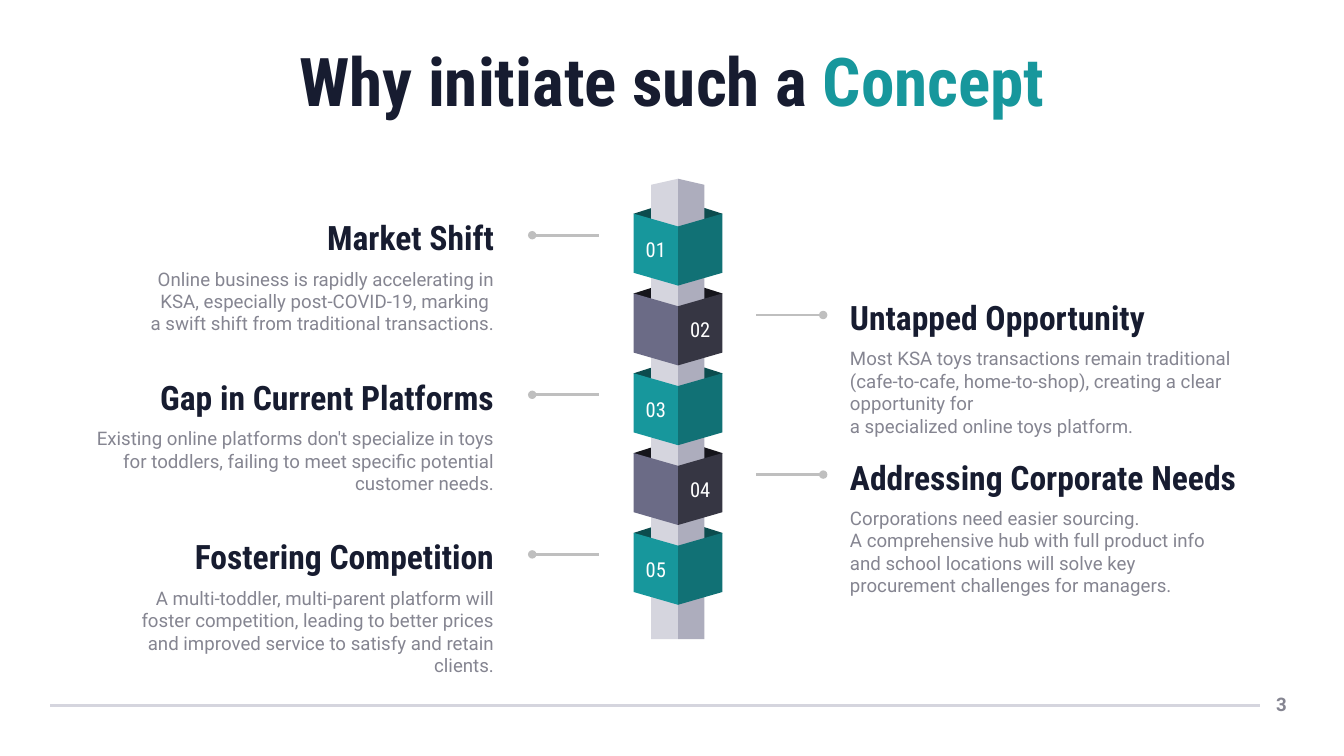
"""Build the slide on the five reasons for initiating the concept."""
from lxml import etree
from pptx import Presentation
from pptx import util as u
from pptx.dml.color import RGBColor
from pptx.enum import shapes, text
from pptx.oxml.ns import qn

NAVY, TEAL, GREY, WHITE = "171C30", "17979C", "858591", "FFFFFF"
color = RGBColor.from_string

presentation = Presentation()
presentation.slide_width = u.Inches(20)
presentation.slide_height = u.Inches(11.25)
slide = presentation.slides.add_slide(presentation.slide_layouts[6])


def write(shape, paragraphs, size, font, align, bold=False, anchor=text.MSO_ANCHOR.TOP):
    frame = shape.text_frame
    frame.word_wrap = True
    frame.vertical_anchor = anchor
    for index, runs in enumerate(paragraphs):
        paragraph = frame.paragraphs[0] if index == 0 else frame.add_paragraph()
        paragraph.alignment = align
        for words, run_color in runs:
            run = paragraph.add_run()
            run.text = words
            run.font.size = u.Pt(size)
            run.font.name = font
            run.font.bold = bold
            run.font.color.rgb = color(run_color)


def add_polygon(points, fill):
    corners = [(u.Inches(x), u.Inches(y)) for x, y in points]
    builder = slide.shapes.build_freeform(*corners[0])
    builder.add_line_segments(corners[1:], close=True)
    shape = builder.convert_to_shape()
    shape.shadow.inherit = False
    shape.fill.solid()
    shape.fill.fore_color.rgb = color(fill)
    shape.line.fill.background()
    return shape


LEFT, CENTER, RIGHT = text.PP_ALIGN.LEFT, text.PP_ALIGN.CENTER, text.PP_ALIGN.RIGHT
MIDDLE = text.MSO_ANCHOR.MIDDLE

number_box = slide.shapes.add_shape(
    shapes.MSO_SHAPE.RECTANGLE, u.Inches(18.25), u.Inches(10.26), u.Inches(1), u.Inches(0.44))
number_box.shadow.inherit = False
number_box.fill.solid()
number_box.fill.fore_color.rgb = color(WHITE)
number_box.line.fill.background()
write(number_box, [[("3", GREY)]], 20, "Roboto", RIGHT, True, MIDDLE)

title = slide.shapes.add_textbox(u.Inches(0.96), u.Inches(0.54), u.Inches(18.08), u.Inches(1.31))
write(title, [[("Why initiate such a ", NAVY), ("Concept", TEAL)]],
      72, "Roboto Condensed", CENTER, True)

# heading, heading width, body paragraphs, body width, body height
reasons = [
    ("Market Shift", 5.8,
     ["Online business is rapidly accelerating in KSA, especially post-COVID-19, marking ",
      "a swift shift from traditional transactions."], 5.8, 1.11),
    ("Untapped Opportunity", 5.8,
     ["Most KSA toys transactions remain traditional (cafe-to-cafe, home-to-shop), "
      "creating a clear opportunity for",
      "a specialized online toys platform."], 6.11, 1.45),
    ("Gap in Current Platforms", 5.8,
     ["Existing online platforms don't specialize in toys for toddlers, "
      "failing to meet specific potential customer needs."], 6.37, 1.11),
    ("Addressing Corporate Needs", 6.11,
     ["Corporations need easier sourcing.",
      "A comprehensive hub with full product info and school locations "
      "will solve key procurement challenges for managers."], 5.8, 1.45),
    ("Fostering Competition", 5.8,
     ["A multi-toddler, multi-parent platform will foster competition, leading to "
      "better prices and improved service to satisfy and retain clients."], 5.8, 1.45),
]
tops = [3.18 + 4.75 / 4 * index for index in range(len(reasons))]
cube_left, cube_middle, cube_right = 9.43, 10.09, 10.75

for index, top in enumerate(tops):
    add_polygon([(cube_middle, top + 1.07), (cube_left, top), (cube_middle, top - 0.21),
                 (cube_right, top)], "15151B" if index % 2 else "0C4C4E")

for edge, fill in ((9.69, "D5D5DE"), (10.48, "ADADBD")):
    add_polygon([(edge, 2.75), (edge, 9.51), (cube_middle, 9.51), (cube_middle, 2.66)], fill)

lines = [(0.75, 18.75, 10.5, "D5D5DE", False)]
for index, (heading, heading_width, body, body_width, body_height) in enumerate(reasons):
    top = tops[index]
    on_right = index % 2 == 1
    fills = ("6B6B86", "363643") if on_right else (TEAL, "117175")
    faces = [
        add_polygon([(cube_middle, top + 0.19), (cube_middle, top + 1.07),
                     (edge, top + 0.88), (edge, top)], fill)
        for edge, fill in zip((cube_left, cube_right), fills)]
    write(faces[on_right], [[(f"{index + 1:02d}", WHITE)]],
          22, "Roboto Condensed", CENTER, anchor=MIDDLE)

    align = LEFT if on_right else RIGHT
    for words, offset, width, height, size, font, font_color, bold in (
            ([heading], 0, heading_width, 0.71, 36, "Roboto Condensed", NAVY, True),
            (body, 0.75, body_width, body_height, 20, "Roboto", GREY, False)):
        left = 12.55 if on_right else 7.45 - width
        box = slide.shapes.add_textbox(
            u.Inches(left), u.Inches(top + offset), u.Inches(width), u.Inches(height))
        write(box, [[(line, font_color)] for line in words], size, font, align, bold)

    start, end = (12.25, 11.25) if on_right else (7.92, 8.92)
    lines.append((start, end, top + 0.32, "BFBFBF", True))

for start, end, height, line_color, dotted in lines:
    connector = slide.shapes.add_connector(
        shapes.MSO_CONNECTOR.STRAIGHT, u.Inches(start), u.Inches(height),
        u.Inches(end), u.Inches(height))
    connector.line.width = u.Pt(3)
    connector.line.color.rgb = color(line_color)
    if dotted:
        etree.SubElement(connector.line._get_or_add_ln(), qn("a:headEnd"), type="oval")
    etree.SubElement(connector._element.spPr, qn("a:effectLst"))

presentation.save("out.pptx")
